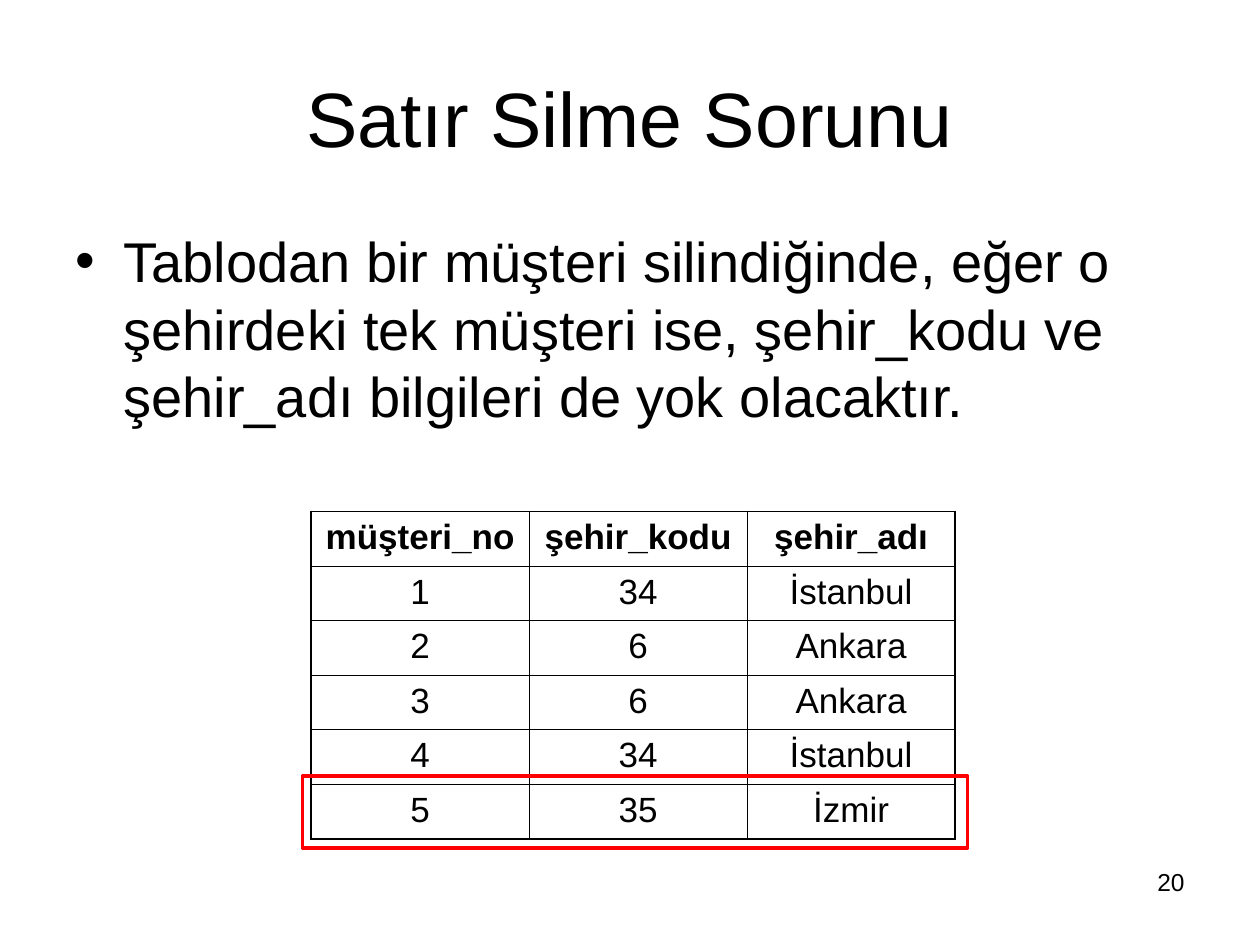
from lxml.etree import SubElement
from pptx import Presentation
from pptx.dml.color import RGBColor
from pptx.enum.shapes import MSO_SHAPE as Shape
from pptx.enum.text import MSO_ANCHOR as Anchor, MSO_AUTO_SIZE as AutoSize, PP_ALIGN as Align
from pptx.oxml.ns import qn
from pptx.util import Inches, Pt

BLACK = RGBColor(0, 0, 0)
RED = RGBColor(255, 0, 0)
FONT = "Arial"
THICK, THIN = Pt(1.08), Pt(0.45)

TABLE_LEFT, TABLE_TOP = 2.47, 4.06
COLUMN_WIDTHS = [1.73, 1.73, 1.65]
ROW_HEIGHT = 2.6 / 6
ROWS = [
    ["müşteri_no", "şehir_kodu", "şehir_adı"],
    ["1", "34", "İstanbul"],
    ["2", "6", "Ankara"],
    ["3", "6", "Ankara"],
    ["4", "34", "İstanbul"],
    ["5", "35", "İzmir"],
]


def place(box, left, top, width, height):
    box.left, box.top = Inches(left), Inches(top)
    box.width, box.height = Inches(width), Inches(height)


def write(frame, text, size, align, anchor=Anchor.TOP, bold=False, before=0):
    """Put one formatted run in the first paragraph and return that paragraph."""
    frame.word_wrap = True
    para = frame.paragraphs[0]
    para.alignment = align
    para.space_before = Pt(before)
    span = para.add_run()
    span.text = text
    font = span.font
    font.name, font.size, font.bold = FONT, Pt(size), bold
    font.color.rgb = BLACK
    if anchor is not None:
        frame.vertical_anchor = anchor
    return para


def add_title(page, text):
    box = page.shapes.title
    place(box, 0.5, 0.3, 9, 1.25)
    box.text_frame.auto_size = AutoSize.NONE
    write(box.text_frame, text, 44, Align.CENTER, Anchor.MIDDLE)


def add_bullet(page, text):
    box = page.placeholders[1]
    place(box, 0.5, 1.75, 9, 2.08)
    box.text_frame.auto_size = AutoSize.NONE
    para = write(box.text_frame, text, 32, Align.LEFT, before=8)
    props = para._p.get_or_add_pPr()
    props.set("marL", str(Inches(0.38)))
    props.set("indent", str(Inches(-0.38)))
    SubElement(props, qn("a:buFont"), typeface=FONT)
    SubElement(props, qn("a:buChar"), char="•")


def set_border(cell, side, width):
    line = SubElement(cell._tc.get_or_add_tcPr(), qn(f"a:ln{side}"), w=str(width))
    fill = SubElement(line, qn("a:solidFill"))
    SubElement(fill, qn("a:srgbClr"), val=str(BLACK))


def add_customer_table(page):
    """Draw the grid with a thick outer frame and thin inner lines."""
    row_count, column_count = len(ROWS), len(COLUMN_WIDTHS)
    frame = page.shapes.add_table(
        row_count, column_count, Inches(TABLE_LEFT), Inches(TABLE_TOP),
        Inches(sum(COLUMN_WIDTHS)), Inches(ROW_HEIGHT * row_count))
    table = frame.table
    table.first_row = table.horz_banding = False
    for column, width in zip(table.columns, COLUMN_WIDTHS):
        column.width = Inches(width)
    for r, values in enumerate(ROWS):
        table.rows[r].height = Inches(ROW_HEIGHT)
        for c, value in enumerate(values):
            cell = table.cell(r, c)
            write(cell.text_frame, value, 20, Align.CENTER, anchor=None,
                  bold=r == 0, before=5)
            outer_sides = {"L": c == 0, "R": c == column_count - 1,
                           "T": r == 0, "B": r == row_count - 1}
            for side, outer in outer_sides.items():
                set_border(cell, side, THICK if outer else THIN)
            cell.fill.background()


def add_row_highlight(page):
    box = page.shapes.add_shape(
        Shape.RECTANGLE, Inches(2.4), Inches(6.16), Inches(5.28), Inches(0.57))
    box.shadow.inherit = False
    box.fill.background()
    box.line.color.rgb = RED
    box.line.width = Pt(2)


def add_page_number(page, number):
    box = page.shapes.add_textbox(
        Inches(7.17), Inches(6.83), Inches(2.33), Inches(0.52))
    write(box.text_frame, number, 14, Align.RIGHT)


def main():
    deck = Presentation()
    deck.slide_width, deck.slide_height = Inches(10), Inches(7.5)
    page = deck.slides.add_slide(deck.slide_layouts[1])
    add_title(page, "Satır Silme Sorunu")
    add_bullet(page, "Tablodan bir müşteri silindiğinde, eğer o şehirdeki tek "
                     "müşteri ise, şehir_kodu ve şehir_adı bilgileri de yok olacaktır.")
    add_customer_table(page)
    add_row_highlight(page)
    add_page_number(page, "20")
    deck.save("out.pptx")


if __name__ == "__main__":
    main()
